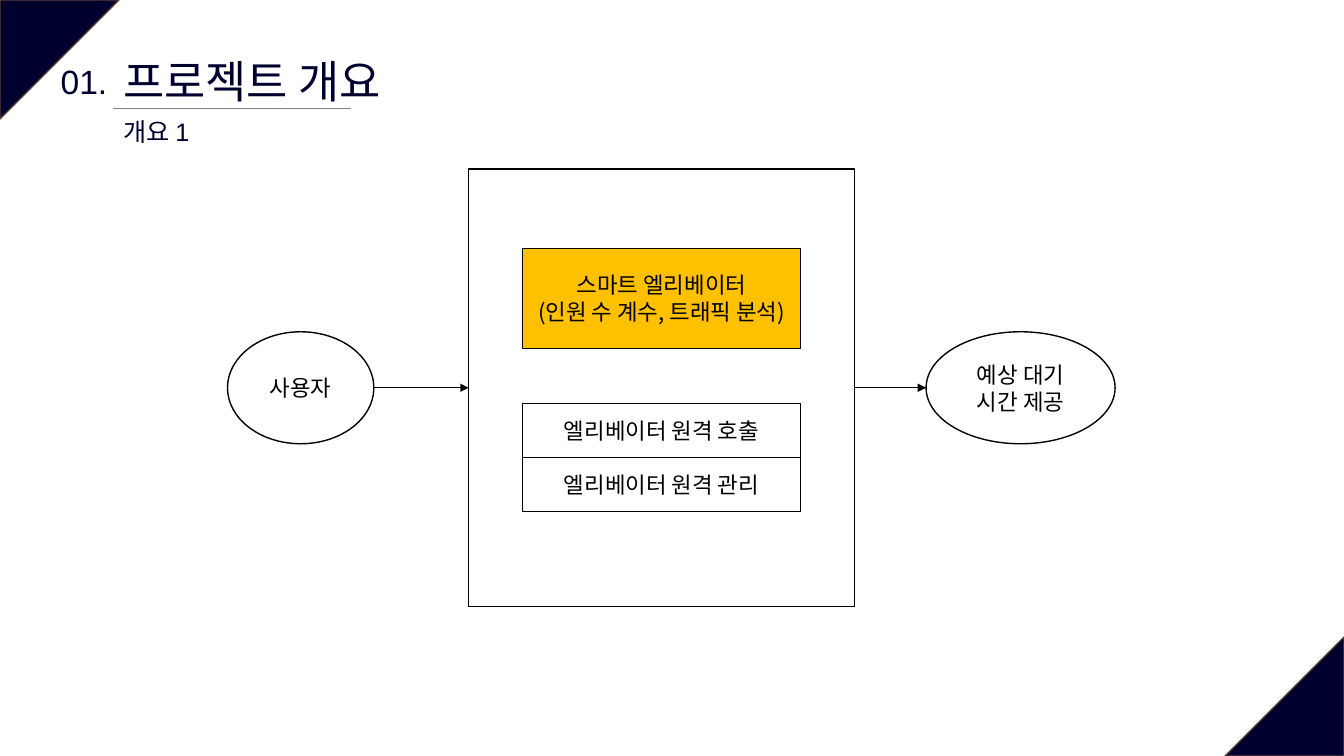
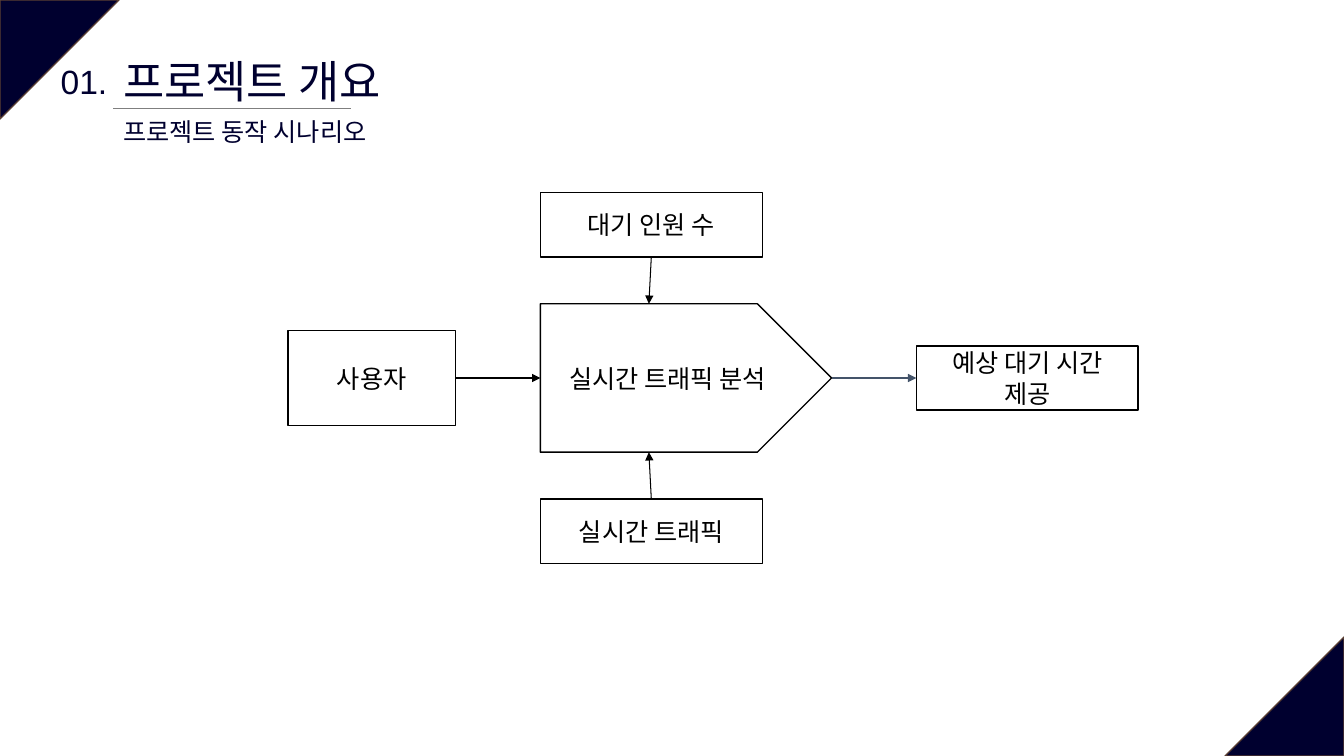
from lxml import etree
from pptx import Presentation
from pptx.dml.color import RGBColor
from pptx.enum.shapes import MSO_CONNECTOR, MSO_SHAPE
from pptx.enum.text import MSO_ANCHOR, PP_ALIGN
from pptx.oxml.ns import qn
from pptx.util import Pt

RECT, OVAL, PLATE = MSO_SHAPE.RECTANGLE, MSO_SHAPE.OVAL, MSO_SHAPE.PENTAGON
CORNER = MSO_SHAPE.RIGHT_TRIANGLE
STRAIGHT = MSO_CONNECTOR.STRAIGHT
LEFT_ALIGN, CENTER, MIDDLE = PP_ALIGN.LEFT, PP_ALIGN.CENTER, MSO_ANCHOR.MIDDLE
TOP, LEFT, BOTTOM, RIGHT = range(4)

WIDTH, HEIGHT, CORNER_SIZE = 960, 540, 85
NAVY, BROWN, GRAY, SLATE = "00002F", "5B3F33", "7F7F7F", "44546A"
BLACK, WHITE, AMBER = "000000", "FFFFFF", "FFC000"
HEAD_FONT, BODY_FONT = "Arial", "Noto Sans CJK KR"


def rgb(value):
    """Return the colour for a hex string."""
    return RGBColor.from_string(value)


def write(sp, lines, size, color=BLACK, font=BODY_FONT, align=CENTER):
    """Write one paragraph per line into a shape."""
    tf = sp.text_frame
    tf.word_wrap = True
    for i, line in enumerate(lines):
        p = tf.paragraphs[0] if i == 0 else tf.add_paragraph()
        p.alignment = align
        r = p.add_run()
        r.text = line
        for name, value in {"size": Pt(size), "name": font}.items():
            setattr(r.font, name, value)
        r.font.color.rgb = rgb(color)
        etree.SubElement(r._r.get_or_add_rPr(), qn("a:ea"), typeface=BODY_FONT)


def box(s, kind, x, y, w, h, lines=(), size=16, fill=None, line=BLACK):
    """Add an outlined shape with centred text."""
    sp = s.shapes.add_shape(kind, Pt(x), Pt(y), Pt(w), Pt(h))
    sp.shadow.inherit = False
    if fill:
        sp.fill.solid()
        sp.fill.fore_color.rgb = rgb(fill)
    else:
        sp.fill.background()
    sp.line.color.rgb = rgb(line)
    sp.line.width = Pt(1)
    sp.text_frame.vertical_anchor = MIDDLE
    write(sp, lines, size)
    return sp


def label(s, x, y, w, h, text, size, align=LEFT_ALIGN):
    """Add a heading text box."""
    sp = s.shapes.add_textbox(Pt(x), Pt(y), Pt(w), Pt(h))
    write(sp, [text], size, NAVY, HEAD_FONT, align)


def link(s, x1, y1, x2, y2, color=BLACK, begin=None, end=None, arrow=True):
    """Add a straight line, joined to (shape, site) pairs where given."""
    cxn = s.shapes.add_connector(STRAIGHT, Pt(x1), Pt(y1), Pt(x2), Pt(y2))
    cxn.line.color.rgb = rgb(color)
    cxn.line.width = Pt(0.75)
    if arrow:
        etree.SubElement(cxn.line._get_or_add_ln(), qn("a:tailEnd"), type="triangle")
    etree.SubElement(cxn._element.spPr, qn("a:effectLst"))
    if begin:
        cxn.begin_connect(*begin)
    if end:
        cxn.end_connect(*end)


def base_slide(prs, subtitle):
    """Add a slide with the shared corners and heading."""
    s = prs.slides.add_slide(prs.slide_layouts[6])
    far_x, far_y = WIDTH - CORNER_SIZE, HEIGHT - CORNER_SIZE
    for x, y, angle in ((0, 0, 90), (far_x, far_y, 270)):
        sp = box(s, CORNER, x, y, CORNER_SIZE, CORNER_SIZE, fill=NAVY, line=BROWN)
        sp.rotation = angle
    link(s, 80.75, 77.75, 250.5, 77.75, GRAY, arrow=False)
    label(s, 81, 34.5, 399, 46, "프로젝트 개요", 32)
    label(s, 36, 39.75, 48, 36, "01.", 24, CENTER)
    label(s, 81, 79.5, 399, 30, subtitle, 18)
    return s


def overview(prs):
    """Build the system overview slide."""
    s = base_slide(prs, "개요 1")
    mid = 277
    system = box(s, RECT, 334.75, mid - 156.25, 275.5, 312.5)
    x, w, row = 373.25, 198.5, 38.75
    box(s, RECT, x, 177.5, w, 71.25,
        ["스마트 엘리베이터", "(인원 수 계수, 트래픽 분석)"], fill=AMBER)
    for i, text in enumerate(("엘리베이터 원격 호출", "엘리베이터 원격 관리")):
        box(s, RECT, x, 288 + i * row, w, row, [text], fill=WHITE)
    box(s, OVAL, 162.5, mid - 40, 104.5, 80, ["사용자"])
    box(s, OVAL, 661.5, mid - 40, 135, 80, ["예상 대기 시간 제공"])
    link(s, 267, mid, 334.75, mid, end=(system, LEFT))
    link(s, 610.25, mid, 661.5, mid, begin=(system, RIGHT))


def scenario(prs):
    """Build the operating scenario slide."""
    s = base_slide(prs, "프로젝트 동작 시나리오")
    mid, x, w, h = 270, 386, 158.5, 46
    half, offset = 53, 109.5
    user = box(s, RECT, 205.75, mid - 34, 119.5, 68, ["사용자"], 18)
    analysis = box(s, PLATE, x, mid - half, 208, 2 * half, ["실시간 트래픽 분석"], 18)
    result = box(s, RECT, 654.5, mid - h / 2, w, h, ["예상 대기 시간 제공"], 18)
    inputs = ((-1, "대기 인원 수", BOTTOM), (1, "실시간 트래픽", TOP))
    for side, text, site in inputs:
        center = mid + side * offset
        source = box(s, RECT, x, center - h / 2, w, h, [text], 18)
        link(s, x + w / 2, center - side * h / 2, x + 77.5, mid + side * half,
             begin=(source, site))
    link(s, 325.25, mid, x, mid, begin=(user, RIGHT), end=(analysis, LEFT))
    link(s, 594, mid, 654.5, mid, SLATE, (analysis, RIGHT), (result, LEFT))


def main():
    """Build and save the presentation."""
    prs = Presentation()
    prs.slide_width, prs.slide_height = Pt(WIDTH), Pt(HEIGHT)
    overview(prs)
    scenario(prs)
    prs.save("out.pptx")


if __name__ == "__main__":
    main()
